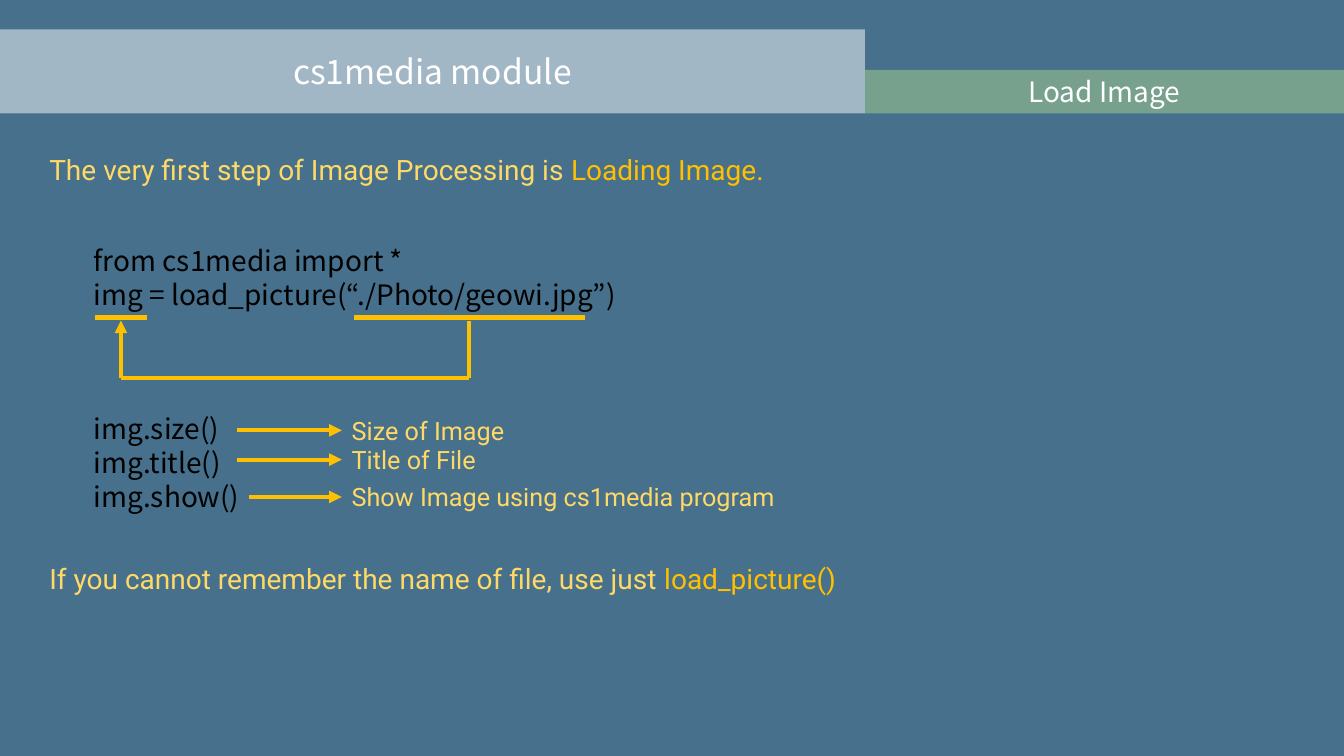
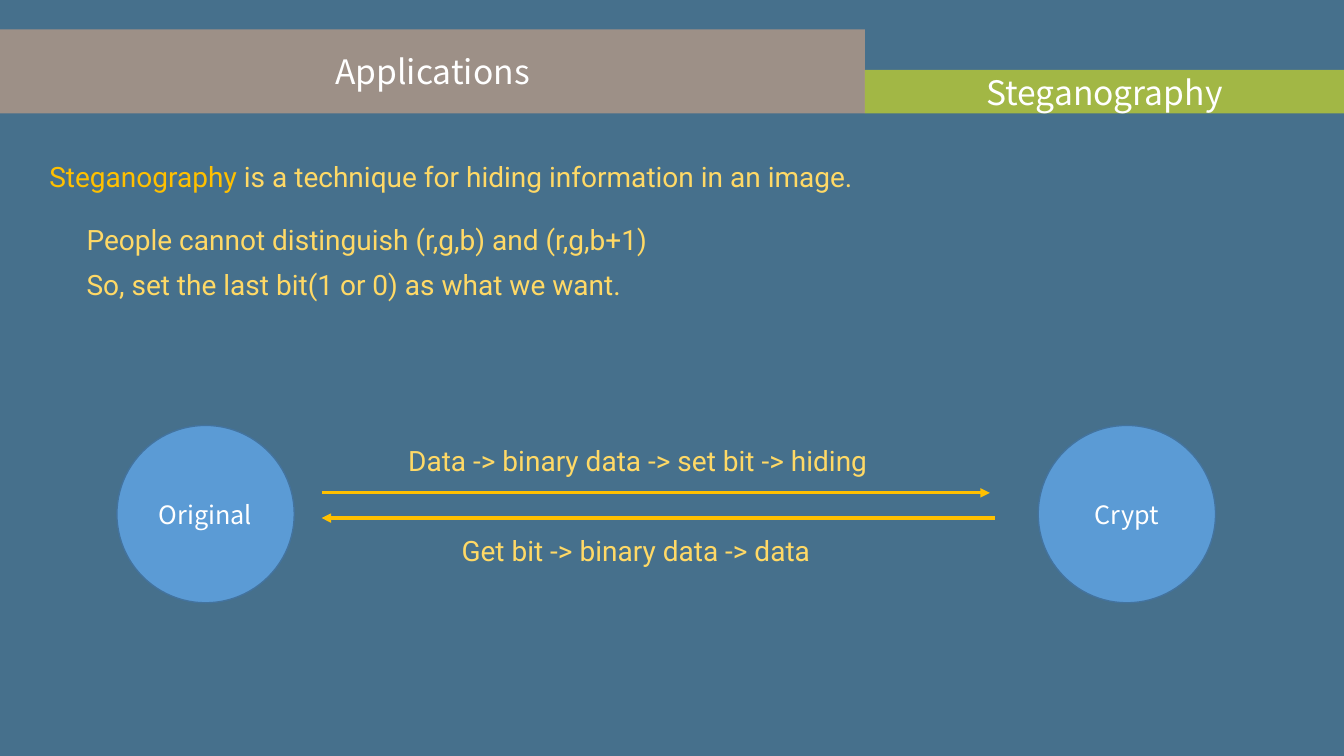
from lxml import etree
from pptx import Presentation
from pptx.dml.color import RGBColor
from pptx.enum.shapes import MSO_CONNECTOR, MSO_SHAPE
from pptx.enum.text import MSO_ANCHOR, PP_ALIGN
from pptx.oxml.ns import qn
from pptx.util import Inches, Pt

STRAIGHT = MSO_CONNECTOR.STRAIGHT
RECTANGLE, OVAL = MSO_SHAPE.RECTANGLE, MSO_SHAPE.OVAL
MIDDLE, CENTER = MSO_ANCHOR.MIDDLE, PP_ALIGN.CENTER
color = RGBColor.from_string

HEADING_FONT, BODY_FONT = "Noto Sans CJK KR", "Roboto"
BACKGROUND, WHITE, BLACK = "46708C", "FFFFFF", "000000"
PALE, GOLD = "FFD966", "FFC000"
CIRCLE_FILL, CIRCLE_LINE = "5B9BD5", "43739E"

presentation = Presentation()
presentation.slide_width, presentation.slide_height = Inches(13.333), Inches(7.5)
presentation.slide_master.background.fill.solid()
presentation.slide_master.background.fill.fore_color.rgb = color(BACKGROUND)

# The grid has 100 columns and 100 rows
COLUMN = presentation.slide_width / 100
ROW = presentation.slide_height / 100


def add_box(slide, area, lines, size=20, font=BODY_FONT, kind=None, fill=None):
    """Add a text box, or a centred shape of the given kind; lines hold (text, colour) runs."""
    left, top, width, height = area
    place = [int(left * COLUMN), int(top * ROW), int(width * COLUMN), int(height * ROW)]
    if kind is None:
        shape = slide.shapes.add_textbox(*place)
    else:
        shape = slide.shapes.add_shape(kind, *place)
        shape.shadow.inherit = False
        shape.fill.solid()
        shape.fill.fore_color.rgb = color(fill)
        shape.line.fill.background()
        shape.text_frame.vertical_anchor = MIDDLE
    frame = shape.text_frame
    frame.word_wrap = True
    for index, runs in enumerate(lines):
        paragraph = frame.add_paragraph() if index else frame.paragraphs[0]
        if kind is not None:
            paragraph.alignment = CENTER
        for text, text_color in runs:
            run = paragraph.add_run()
            run.text = text
            run.font.size, run.font.name = Pt(size), font
            run.font.color.rgb = color(text_color)
    return shape


def add_line(slide, start, end, weight=3, arrow=False):
    """Add a gold line between two grid points."""
    connector = slide.shapes.add_connector(
        STRAIGHT, int(start[0] * COLUMN), int(start[1] * ROW),
        int(end[0] * COLUMN), int(end[1] * ROW))
    connector.line.color.rgb = color(GOLD)
    connector.line.width = Pt(weight)
    if arrow:
        etree.SubElement(connector.line._get_or_add_ln(), qn("a:tailEnd"), type="triangle")
    etree.SubElement(connector._element.spPr, qn("a:effectLst"))


# Slides with their half-transparent title and topic bands
TITLE_WIDTH, BAND_BOTTOM = 64.35, 15
headers = [
    (("cs1media module", 24, "FFFFFF"), ("Load Image", 20, "A9D18E")),
    (("Applications", 24, "F4B183"), ("Steganography", 24, "FFFF00")),
]
slides = []
for header in headers:
    slide = presentation.slides.add_slide(presentation.slide_layouts[6])
    slides.append(slide)
    spans = [(0, TITLE_WIDTH, 11.1), (TITLE_WIDTH, 100 - TITLE_WIDTH, 5.75)]
    for (text, size, fill), (left, width, height) in zip(header, spans):
        band = add_box(slide, (left, BAND_BOTTOM - height, width, height),
                       [[(text, WHITE)]], size, HEADING_FONT, RECTANGLE, fill)
        fill_color = band._element.spPr.find(qn("a:solidFill"))[0]
        etree.SubElement(fill_color, qn("a:alpha"), val="50000")
loading, steganography = slides

MARGIN, TEXT_WIDTH, TEXT_HEIGHT = 2.93, 76.5, 5.87

# Loading: opening and closing sentences
sentences = [
    (19.47, "The very first step of Image Processing is ", "Loading Image."),
    (73.6, "If you cannot remember the name of file, use just ", "load_picture()"),
]
for top, text, emphasis in sentences:
    add_box(loading, (MARGIN, top, TEXT_WIDTH, TEXT_HEIGHT),
            [[(text, PALE), (emphasis, GOLD)]])

# Loading: code, with a gap before the method calls
CODE_PITCH = Pt(24)
code = ["from cs1media import *", "img = load_picture(“./Photo/geowi.jpg”)",
        "img.size()", "img.title()", "img.show()"]
code_box = add_box(loading, (6.23, 31.6, 47.1, 37.2),
                   [[(line, BLACK)] for line in code], font=HEADING_FONT)
for paragraph in code_box.text_frame.paragraphs:
    paragraph.line_spacing = CODE_PITCH
code_box.text_frame.paragraphs[2].space_before = 3 * CODE_PITCH

# Loading: underlines, and the path from the file name to the variable
UNDERLINE, PATH_TOP, PATH_BOTTOM = 42, 42.4, 50
variable, file_name = (7.05, 10.95), (26.33, 43.5)
for left, right in (variable, file_name):
    add_line(loading, (left, UNDERLINE), (right, UNDERLINE))
target, origin = sum(variable) / 2, sum(file_name) / 2
corners = [(origin, PATH_TOP), (origin, PATH_BOTTOM),
           (target, PATH_BOTTOM), (target, PATH_TOP)]
for start, end in zip(corners, corners[1:]):
    add_line(loading, start, end, arrow=end == corners[-1])

# Loading: what each method gives
LABEL_LEFT, LABEL_HEIGHT = 25.43, 5.4
methods = [(17.63, 56.93, "Size of Image"), (17.63, 60.8, "Title of File"),
           (18.53, 65.73, "Show Image using cs1media program")]
for left, middle, text in methods:
    add_line(loading, (left, middle), (LABEL_LEFT, middle), arrow=True)
    add_box(loading, (LABEL_LEFT, middle - LABEL_HEIGHT / 2, 57.3, LABEL_HEIGHT),
            [[(text, PALE)]], size=18)

# Steganography: explanation and arrow labels
statements = [
    (MARGIN, 20.4, [("Steganography", GOLD),
                    (" is a technique for hiding information in an image.", PALE)]),
    (5.7, 28.8, [("People cannot distinguish (r,g,b) and (r,g,b+1)", PALE)]),
    (5.7, 34.67, [("So, set the last bit(1 or 0) as what we want.", PALE)]),
    (29.63, 58, [("Data -> binary data -> set bit -> hiding", PALE)]),
    (33.6, 69.87, [("Get bit -> binary data -> data", PALE)]),
]
for left, top, runs in statements:
    add_box(steganography, (left, top, min(TEXT_WIDTH, 100 - left), TEXT_HEIGHT), [runs])

# Steganography: the two images and the arrows between them
for left, text in ((8.7, "Original"), (77.25, "Crypt")):
    circle = add_box(steganography, (left, 56.27, 13.2, 23.47), [[(text, WHITE)]],
                     18, HEADING_FONT, OVAL, CIRCLE_FILL)
    circle.line.color.rgb = color(CIRCLE_LINE)
    circle.line.width = Pt(1)
for start, end, row in ((23.93, 73.65, 65.2), (74.03, 23.93, 68.53)):
    add_line(steganography, (start, row), (end, row), 2.25, arrow=True)

presentation.save("out.pptx")
